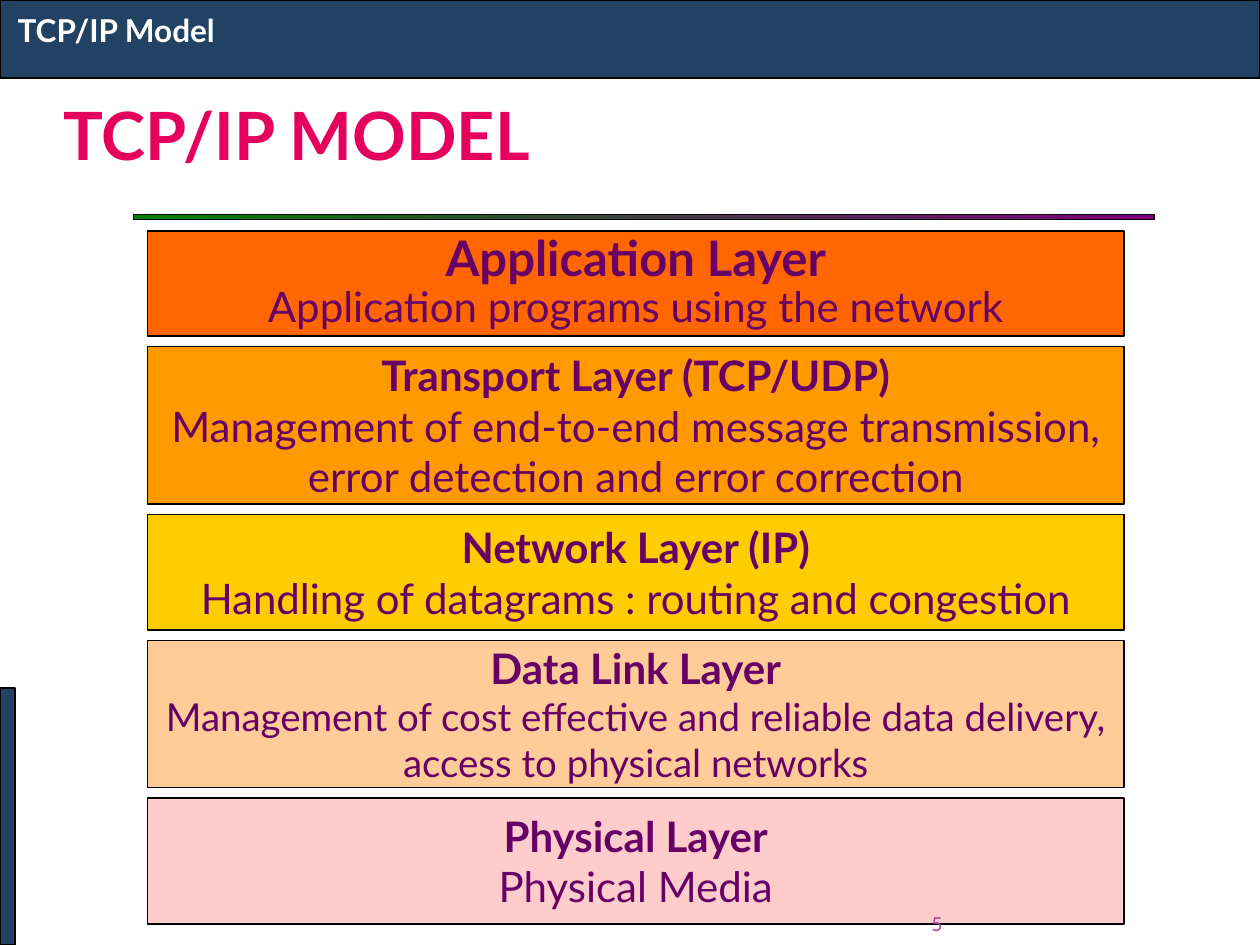
from dataclasses import dataclass

import pptx
import pptx.dml.color
import pptx.enum.shapes
import pptx.enum.text
import pptx.util

Inches = pptx.util.Inches
Pt = pptx.util.Pt
Shape = pptx.enum.shapes.MSO_SHAPE
Align = pptx.enum.text.PP_ALIGN
Anchor = pptx.enum.text.MSO_ANCHOR

COLORS = {
    "navy": "214263", "white": "FFFFFF", "black": "000000", "title": "E4005C",
    "text": "660066", "number": "B13F9A", "purple": "800080", "green": "008000",
    "application": "FF6600", "transport": "FF9900", "network": "FFCC00",
    "link": "FFCC99", "physical": "FFCCCC",
}
UNIT = 1 / 12  # the layer stack sits on a grid of twelfths of an inch
STACK_TOP = 22
GAP = 1


@dataclass
class Layer:
    name: str
    details: list[str]
    color: str
    units: int
    name_size: int = 24
    detail_size: int = 24
    spacing: float = 1.0


LAYERS = [
    Layer("Application Layer", ["Application programs using the network"],
          "application", 10, name_size=28, spacing=0.88),
    Layer("Transport Layer (TCP/UDP)",
          ["Management of end-to-end message transmission,",
           "error detection and error correction"], "transport", 15),
    Layer("Network Layer (IP)",
          ["Handling of datagrams : routing and congestion"], "network", 11),
    Layer("Data Link Layer",
          ["Management of cost effective and reliable data delivery,",
           "access to physical networks"], "link", 14, detail_size=22),
    Layer("Physical Layer", ["Physical Media"], "physical", 12),
]


def rgb(name: str) -> pptx.dml.color.RGBColor:
    return pptx.dml.color.RGBColor.from_string(COLORS[name])


def write(para, text: str, *, size: float, color: str, bold: bool = False,
          align=Align.LEFT, spacing: float = 1.0) -> None:
    para.alignment = align
    para.line_spacing = spacing
    span = para.add_run()
    span.text = text
    span.font.name = "Lato"
    span.font.size = Pt(size)
    span.font.bold = bold
    span.font.color.rgb = rgb(color)


def clear_margins(frame) -> None:
    frame.margin_left = frame.margin_right = 0
    frame.margin_top = frame.margin_bottom = 0


def place(shape, left: float, top: float, width: float, height: float) -> None:
    shape.left, shape.top = Inches(left), Inches(top)
    shape.width, shape.height = Inches(width), Inches(height)


def add_box(page, left: float, top: float, width: float, height: float,
            color: str, line: float = 0.75):
    box = page.shapes.add_shape(Shape.RECTANGLE, Inches(left), Inches(top),
                                Inches(width), Inches(height))
    box.shadow.inherit = False
    box.fill.solid()
    box.fill.fore_color.rgb = rgb(color)
    box.line.color.rgb = rgb("black")
    box.line.width = Pt(line)
    return box


def add_label(page, left: float, top: float, width: float, height: float,
              text: str, anchor=Anchor.TOP, **style) -> None:
    box = page.shapes.add_textbox(Inches(left), Inches(top),
                                  Inches(width), Inches(height))
    frame = box.text_frame
    frame.word_wrap = True
    frame.vertical_anchor = anchor
    clear_margins(frame)
    write(frame.paragraphs[0], text, **style)


def add_rule(page) -> None:
    rule = add_box(page, 1.06, 1.7, 8.1, 0.04, "purple")
    rule.fill.gradient()
    rule.fill.gradient_angle = 210
    for stop, color in zip(rule.fill.gradient_stops, ("purple", "green")):
        stop.color.rgb = rgb(color)


def add_layer(page, layer: Layer, top: float) -> None:
    box = add_box(page, 1.17, top, 7.75, layer.units * UNIT, layer.color, line=1)
    frame = box.text_frame
    frame.word_wrap = False
    frame.vertical_anchor = Anchor.MIDDLE
    clear_margins(frame)
    style = dict(color="text", align=Align.CENTER, spacing=layer.spacing)
    write(frame.paragraphs[0], layer.name, size=layer.name_size, bold=True, **style)
    for detail in layer.details:
        write(frame.add_paragraph(), detail, size=layer.detail_size, **style)


def main() -> None:
    deck = pptx.Presentation()
    deck.slide_width, deck.slide_height = Inches(10), Inches(7.5)
    page = deck.slides.add_slide(deck.slide_layouts[5])

    title = page.shapes.title
    place(title, 0.5, 0.58, 9, 0.97)
    title.text_frame.vertical_anchor = Anchor.MIDDLE
    clear_margins(title.text_frame)
    write(title.text_frame.paragraphs[0], "TCP/IP MODEL", size=38,
          color="title", bold=True)

    add_box(page, 0, 0, 10, 0.62, "navy")
    add_rule(page)
    add_label(page, 0.14, 0.11, 6.36, 0.28, "TCP/IP Model", spacing=0.95,
              size=18, color="white", bold=True)
    add_box(page, 0, 5.46, 0.12, 2.04, "navy")

    top = STACK_TOP
    for layer in LAYERS:
        add_layer(page, layer, top * UNIT)
        top += layer.units + GAP

    add_label(page, 6.84, 7.17, 0.64, 0.25, "5", anchor=Anchor.BOTTOM,
              size=11, color="number", align=Align.RIGHT)
    deck.save("out.pptx")


if __name__ == "__main__":
    main()
